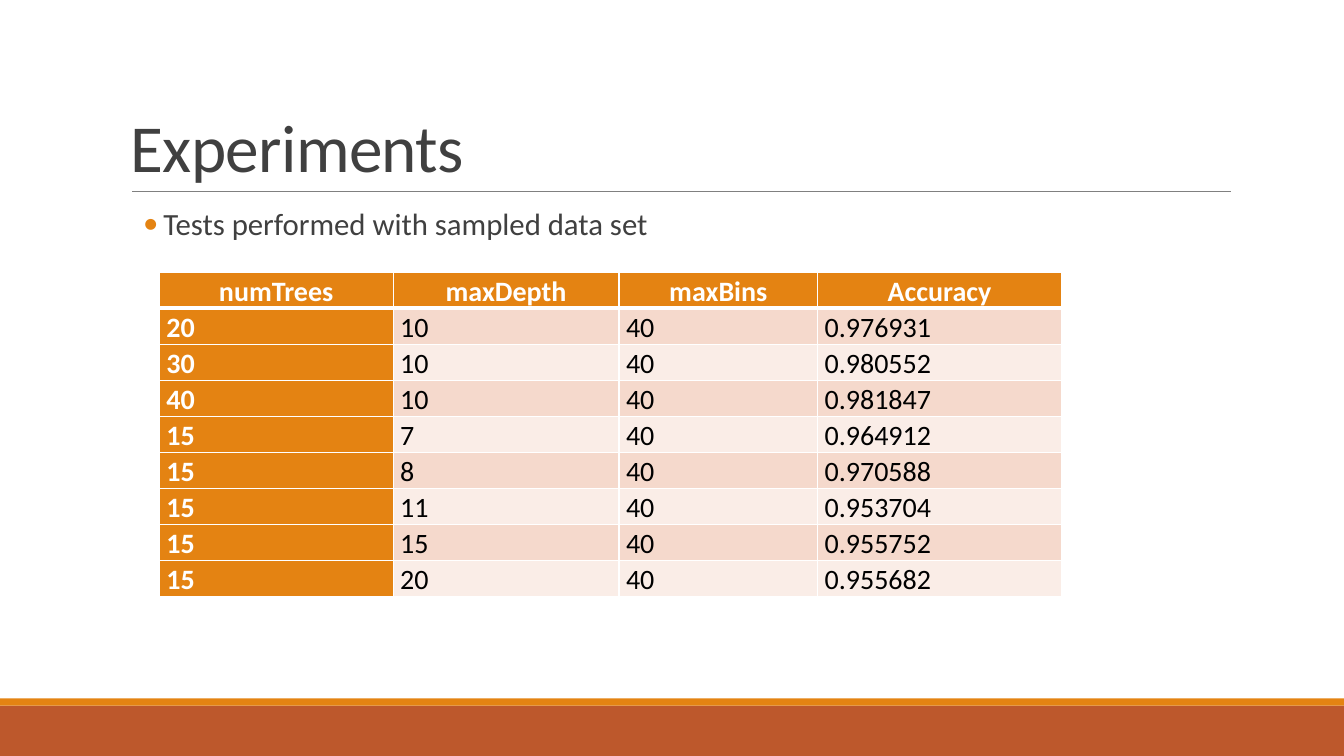
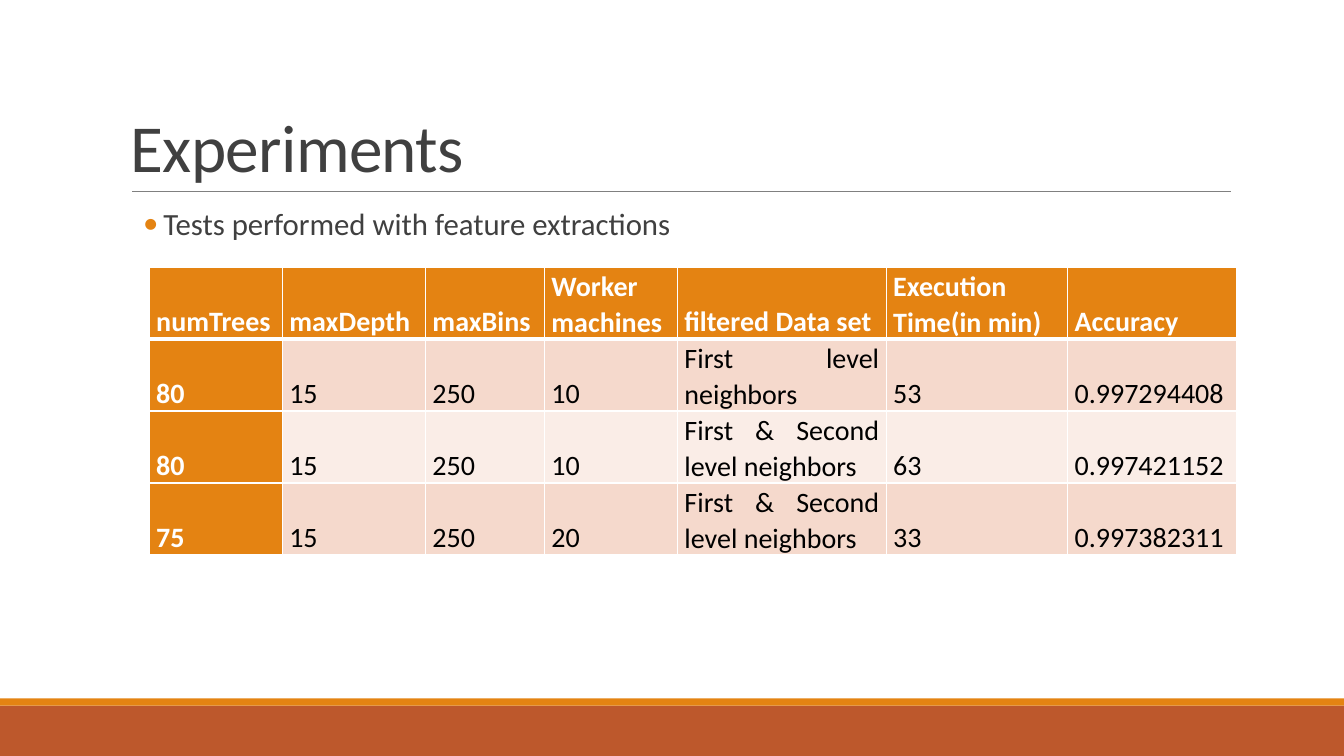
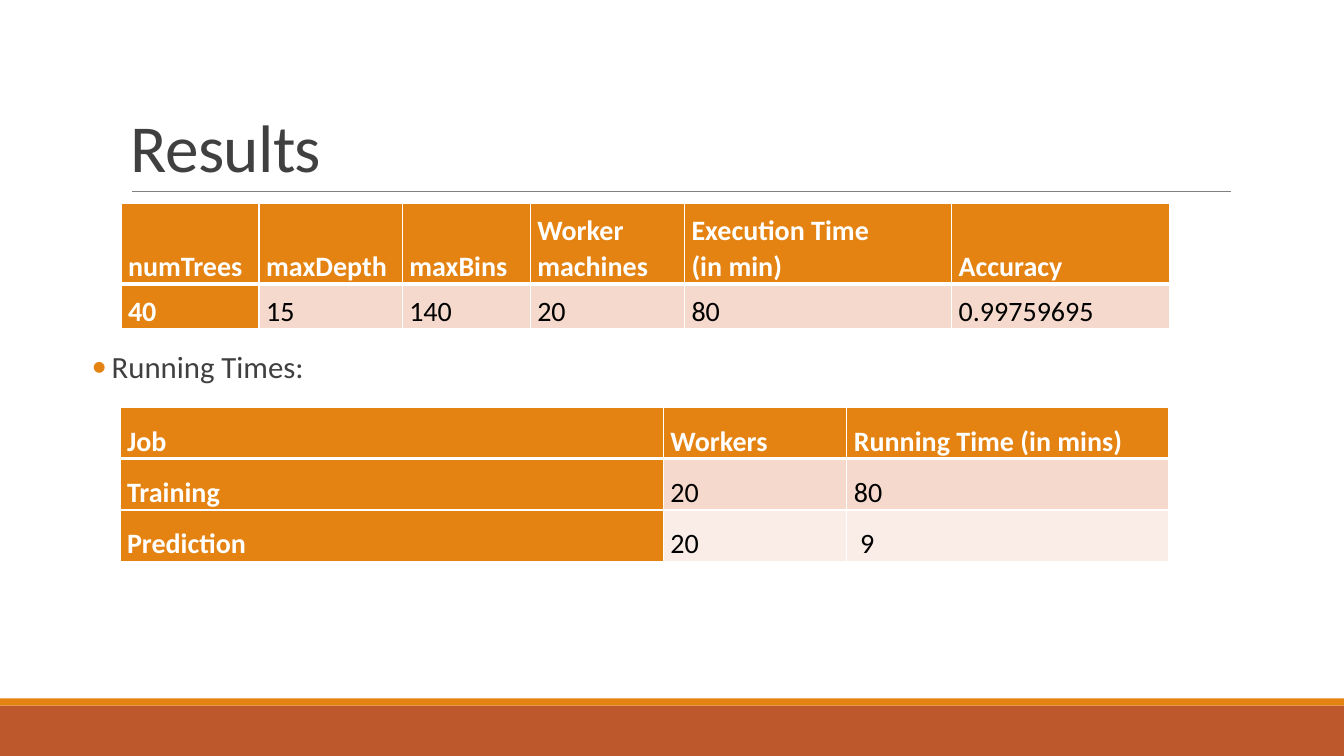
from lxml.etree import SubElement
from pptx import Presentation
from pptx.dml.color import RGBColor
from pptx.enum.shapes import MSO_CONNECTOR, MSO_SHAPE
from pptx.enum.text import MSO_ANCHOR, PP_ALIGN
from pptx.oxml.ns import qn
from pptx.util import Inches, Pt

FONT = "Calibri"
ORANGE, RUST, GREY = "E48312", "BD582C", "808080"
WHITE, BLACK, DARK = "FFFFFF", "000000", "404040"
ROW_TINTS = ("F5D9CC", "FAEDE7")


def rgb(hex_color):
    return RGBColor.from_string(hex_color)


def write(tf, text, size=20, color=DARK, bold=False, align=PP_ALIGN.LEFT,
          line=1.0, before=0, after=0, tracking=None, bullet=None):
    """Fill a text frame; each line of text becomes a paragraph."""
    tf.word_wrap = True
    for i, part in enumerate(text.split("\n")):
        p = tf.add_paragraph() if i else tf.paragraphs[0]
        p.alignment, p.line_spacing = align, line
        p.space_before, p.space_after = Pt(before), Pt(after)
        if bullet:
            add_bullet(p, bullet)
        r = p.add_run()
        r.text = part
        r.font.name, r.font.size, r.font.bold = FONT, Pt(size), bold
        r.font.color.rgb = rgb(color)
        if tracking:
            r.font._element.set("spc", str(int(tracking * 100)))


def add_bullet(p, color):
    pPr = p._p.get_or_add_pPr()
    pPr.set("marL", str(Inches(0.42)))
    pPr.set("indent", str(Inches(-0.2)))
    SubElement(SubElement(pPr, qn("a:buClr")), qn("a:srgbClr"), val=color)
    SubElement(pPr, qn("a:buFont"), typeface=FONT)
    SubElement(pPr, qn("a:buChar"), char="•")


def add_band(s, top, height, color):
    sp = s.shapes.add_shape(MSO_SHAPE.RECTANGLE, 0, Inches(top),
                            Inches(13.33), Inches(height))
    sp.shadow.inherit = False
    sp.fill.solid()
    sp.fill.fore_color.rgb = rgb(color)
    sp.line.fill.background()


def add_title_slide_frame(prs, title):
    """Add a blank slide with the shared bands, rule and title."""
    s = prs.slides.add_slide(prs.slide_layouts[6])
    add_band(s, 7, 0.5, RUST)
    add_band(s, 6.93, 0.07, ORANGE)
    rule = s.shapes.add_connector(MSO_CONNECTOR.STRAIGHT, Inches(1.31),
                                  Inches(1.9), Inches(12.21), Inches(1.9))
    rule.line.color.rgb = rgb(GREY)
    rule.line.width = Pt(0.5)
    SubElement(rule._element.spPr, qn("a:effectLst"))
    tf = s.shapes.add_textbox(Inches(1.2), Inches(0.31),
                              Inches(11), Inches(1.59)).text_frame
    tf.vertical_anchor = MSO_ANCHOR.BOTTOM
    write(tf, title, size=48, line=0.85, tracking=-0.5)
    return s


def add_bullet_text(s, text, left, top, width, height, inset=0.0):
    tf = s.shapes.add_textbox(Inches(left), Inches(top),
                              Inches(width), Inches(height)).text_frame
    tf.margin_left = tf.margin_right = Inches(inset)
    write(tf, text, size=22, line=0.9, before=2, after=4, bullet=ORANGE)


def set_borders(cell, top=1, bottom=1):
    tcPr = cell._tc.get_or_add_tcPr()
    for side, width in (("L", 1), ("R", 1), ("T", top), ("B", bottom)):
        ln = SubElement(tcPr, qn(f"a:ln{side}"), w=str(Pt(width)))
        SubElement(SubElement(ln, qn("a:solidFill")), qn("a:srgbClr"), val=WHITE)


def add_data_table(s, rows, left, top, widths, heights,
                   head_align=PP_ALIGN.JUSTIFY):
    """Add a table with an orange header row and first column."""
    table = s.shapes.add_table(len(rows), len(widths), Inches(left), Inches(top),
                               Inches(sum(widths)), Inches(sum(heights))).table
    for column, width in zip(table.columns, widths):
        column.width = Inches(width)
    for i, (row, height) in enumerate(zip(rows, heights)):
        table.rows[i].height = Inches(height)
        for j, text in enumerate(row):
            cell = table.cell(i, j)
            strong = i == 0 or j == 0
            set_borders(cell, top=3 if i == 1 else 1, bottom=3 if i == 0 else 1)
            cell.fill.solid()
            cell.fill.fore_color.rgb = rgb(ORANGE if strong else ROW_TINTS[(i - 1) % 2])
            cell.margin_left = cell.margin_right = Inches(0.07)
            cell.margin_top = cell.margin_bottom = 0
            cell.vertical_anchor = MSO_ANCHOR.BOTTOM
            write(cell.text_frame, text, color=WHITE if strong else BLACK,
                  bold=strong, line=1.07,
                  align=PP_ALIGN.JUSTIFY if i else head_align)


def add_experiment_slide(prs, summary, rows, **table_format):
    s = add_title_slide_frame(prs, "Experiments")
    add_bullet_text(s, summary, 1.2, 2.02, 11, 4.76)
    add_data_table(s, rows, **table_format)


def add_results_slide(prs):
    s = add_title_slide_frame(prs, "Results")
    best_run = [
        ("numTrees", "maxDepth", "maxBins", "Worker machines",
         "Execution Time\n(in min)", "Accuracy"),
        ("40", "15", "140", "20", "80", "0.99759695"),
    ]
    add_data_table(s, best_run, 1.2, 2.02,
                   (1.37, 1.42, 1.27, 1.53, 2.65, 2.16), (0.8, 0.44))
    running_times = [
        ("Job", "Workers", "Running Time (in mins)"),
        ("Training", "20", "80"),
        ("Prediction", "20", " 9"),
    ]
    add_data_table(s, running_times, 1.19, 4.04, (5.39, 1.82, 3.19), [0.51] * 3)
    add_bullet_text(s, "Running Times:", 0.59, 3.44, 2.67, 0.43, inset=0.1)


def main():
    prs = Presentation()
    prs.slide_width, prs.slide_height = Inches(13.33), Inches(7.5)

    sampled = [
        ("20", "10", "0.976931"),
        ("30", "10", "0.980552"),
        ("40", "10", "0.981847"),
        ("15", "7", "0.964912"),
        ("15", "8", "0.970588"),
        ("15", "11", "0.953704"),
        ("15", "15", "0.955752"),
        ("15", "20", "0.955682"),
    ]
    sampled_rows = [("numTrees", "maxDepth", "maxBins", "Accuracy")]
    sampled_rows += [(trees, depth, "40", accuracy)
                     for trees, depth, accuracy in sampled]
    add_experiment_slide(prs, "Tests performed with sampled data set", sampled_rows,
                         left=1.58, top=2.7, widths=(2.32, 2.24, 1.97, 2.42),
                         heights=[0.34] * 9, head_align=PP_ALIGN.CENTER)

    feature_rows = [
        ("numTrees", "maxDepth", "maxBins", "Worker machines",
         "filtered Data set", "Execution Time(in min)", "Accuracy"),
        ("80", "15", "250", "10", "First level neighbors", "53", "0.997294408"),
        ("80", "15", "250", "10", "First & Second level neighbors", "63", "0.997421152"),
        ("75", "15", "250", "20", "First & Second level neighbors", "33", "0.997382311"),
    ]
    add_experiment_slide(prs, "Tests performed with feature extractions", feature_rows,
                         left=1.48, top=2.65,
                         widths=(1.32, 1.42, 1.18, 1.32, 2.07, 1.8, 1.68),
                         heights=[0.71] * 4)

    add_results_slide(prs)
    prs.save("out.pptx")


if __name__ == "__main__":
    main()
